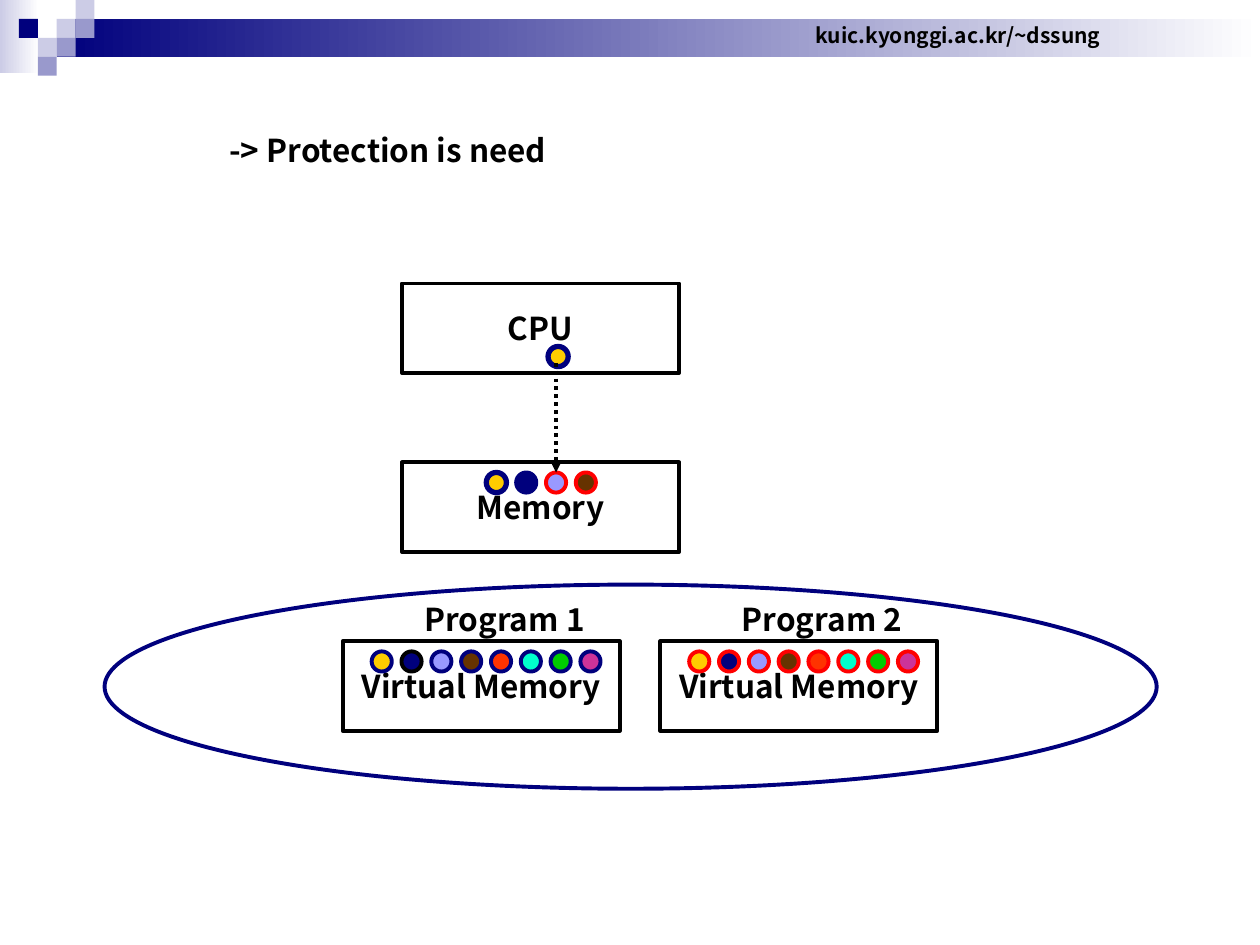
import dataclasses

import pptx
import pptx.dml.color
import pptx.enum.dml
import pptx.enum.shapes
import pptx.enum.text
import pptx.oxml
import pptx.oxml.ns
import pptx.util
from pptx.util import Inches

KIND = pptx.enum.shapes.MSO_SHAPE
ALIGN = pptx.enum.text.PP_ALIGN
ANCHOR = pptx.enum.text.MSO_ANCHOR


@dataclasses.dataclass(frozen=True)
class Theme:
    """Colours, font and sizes of the slide."""
    font: str = "Noto Sans CJK KR"
    body: float = 18
    small: float = 12
    thin: float = 2.25
    thick: float = 3
    black: str = "000000"
    white: str = "FFFFFF"
    navy: str = "00007D"
    pale: str = "CCCCE6"
    mid: str = "9999CC"
    red: str = "FF0000"
    gold: str = "FFCC00"
    lilac: str = "9999FF"
    brown: str = "663300"
    flame: str = "FF3300"
    aqua: str = "00FFCC"
    green: str = "00CC00"
    pink: str = "CC3399"


THEME = Theme()
PAGES = (THEME.gold, THEME.navy, THEME.lilac, THEME.brown,
         THEME.flame, THEME.aqua, THEME.green, THEME.pink)
DOT = Inches(0.16)
STEP = Inches(0.71 / 3)


def rgb(code):
    """Turn a hex code into a colour."""
    return pptx.dml.color.RGBColor.from_string(code)


def write(shape, text, size=THEME.body, align=ALIGN.LEFT, anchor=ANCHOR.TOP, wrap=False):
    """Put formatted text in a shape."""
    frame = shape.text_frame
    frame.text = text
    frame.auto_size = pptx.enum.text.MSO_AUTO_SIZE.NONE
    frame.word_wrap = wrap
    frame.vertical_anchor = anchor
    para = frame.paragraphs[0]
    para.alignment = align
    font = para.runs[0].font
    font.name = THEME.font
    font.size = pptx.util.Pt(size)
    font.bold = True
    font.color.rgb = rgb(THEME.black)
    for tag in ("a:ea", "a:cs"):
        face = pptx.oxml.ns.qn(tag)
        font._element.makeelement(face)
        pptx.oxml.ns.qn(tag)
        node = font._element.makeelement(face, {"typeface": THEME.font})
        font._element.append(node)


def draw(slide, kind, box, fill=None, line=None, width=THEME.thin):
    """Add a preset shape with a plain, blended or empty fill."""
    shape = slide.shapes.add_shape(kind, *box)
    shape.shadow.inherit = False
    if fill is None:
        shape.fill.background()
    elif isinstance(fill, tuple):
        shape.fill.gradient()
        shape.fill.gradient_angle = 0
        for stop, code in zip(shape.fill.gradient_stops, fill):
            stop.color.rgb = rgb(code)
    else:
        shape.fill.solid()
        shape.fill.fore_color.rgb = rgb(fill)
    if line:
        shape.line.color.rgb = rgb(line)
        shape.line.width = pptx.util.Pt(width)
    else:
        shape.line.fill.background()
    return shape


def label(slide, box, text, **form):
    """Add a text box."""
    write(slide.shapes.add_textbox(*box), text, **form)


def header(slide, box):
    """Draw the blended band, its tiles and the address."""
    left, top, width, height = box
    tile = Inches(0.15)
    draw(slide, KIND.RECTANGLE, (left, top, Inches(0.31), height),
         (THEME.pale, THEME.white))
    draw(slide, KIND.RECTANGLE,
         (left + 3 * tile, top + tile, width - 3 * tile, 2 * tile),
         (THEME.navy, THEME.white))
    tiles = ((3, 1, THEME.pale), (4, 0, THEME.pale), (4, 1, THEME.mid),
             (2, 2, THEME.pale), (1, 1, THEME.navy), (3, 2, THEME.mid),
             (2, 3, THEME.mid))
    for col, row, fill in tiles:
        draw(slide, KIND.RECTANGLE,
             (left + col * tile, top + row * tile, tile, tile), fill)
    label(slide, (left + Inches(6.37), top + Inches(0.13), Inches(2.47), Inches(0.3)),
          "kuic.kyonggi.ac.kr/~dssung", size=THEME.small,
          align=ALIGN.CENTER, anchor=ANCHOR.MIDDLE)


def title(slide, box):
    """Place and format the title."""
    shape = slide.shapes.title
    shape.left, shape.top, shape.width, shape.height = box
    write(shape, "-> Protection is need")


def dot(slide, left, top, fill, line, width=THEME.thin):
    """Draw one page."""
    return draw(slide, KIND.OVAL, (left, top, DOT, DOT), fill, line, width)


def unit(slide, box, name, start=0, pages=()):
    """Draw a named box with a row of pages and return the pages."""
    shape = draw(slide, KIND.RECTANGLE, box, THEME.white, THEME.black)
    write(shape, name, align=ALIGN.CENTER, anchor=ANCHOR.MIDDLE)
    left, top = box[0] + start, box[1] + Inches(0.08)
    return [dot(slide, left + i * STEP, top, *page) for i, page in enumerate(pages)]


def arrow(slide, left, top, goal):
    """Draw a dotted arrow down to the top of a page."""
    line = slide.shapes.add_connector(
        pptx.enum.shapes.MSO_CONNECTOR.STRAIGHT, left, top, left, goal.top)
    line.end_connect(goal, 0)
    line.line.color.rgb = rgb(THEME.black)
    line.line.width = pptx.util.Pt(THEME.thin)
    line.line.dash_style = pptx.enum.dml.MSO_LINE.ROUND_DOT
    space = pptx.oxml.ns.nsdecls("a")
    line.line._get_or_add_ln().append(
        pptx.oxml.parse_xml(f'<a:tailEnd {space} type="triangle"/>'))
    line._element.spPr.append(pptx.oxml.parse_xml(f"<a:effectLst {space}/>"))


def machine(slide, box):
    """Draw the processor above the memory, joined by an arrow."""
    left, top, width, height = box
    size = (width, Inches(0.71))
    unit(slide, (left, top, *size), "CPU")
    pages = unit(slide, (left, top + height - size[1], *size), "Memory", Inches(0.67), (
        (THEME.gold, THEME.navy, THEME.thick), (THEME.navy, THEME.navy),
        (THEME.lilac, THEME.red), (THEME.brown, THEME.red)))
    dot(slide, left + Inches(1.16), top + Inches(0.5),
        THEME.gold, THEME.navy, THEME.thick)
    goal = pages[2]
    arrow(slide, goal.left + DOT // 2, top + Inches(0.63), goal)


def store(slide, box):
    """Draw the oval that holds the virtual memory of both programs."""
    left, top, width, height = box
    first = [THEME.navy] * len(PAGES)
    first[1] = THEME.black
    edges = (first, [THEME.red] * len(PAGES))
    for i, lines in enumerate(edges):
        side = left + Inches(1.89) + i * Inches(2.52)
        unit(slide, (side, top + Inches(0.45), Inches(2.2), Inches(0.71)),
             "Virtual Memory", Inches(0.23), zip(PAGES, lines))
        label(slide, (side + Inches(0.55), top + Inches(0.07), Inches(1.5), Inches(0.4)),
              f"Program {i + 1}")
    draw(slide, KIND.OVAL, box, line=THEME.navy)


def main():
    """Build and save the slide."""
    deck = pptx.Presentation()
    deck.slide_width, deck.slide_height = Inches(10), Inches(7.5)
    slide = deck.slides.add_slide(deck.slide_layouts[5])
    header(slide, (0, 0, deck.slide_width, Inches(0.58)))
    title(slide, (Inches(1.72), Inches(0.99), Inches(2.81), Inches(0.4)))
    machine(slide, (Inches(3.19), Inches(2.25), Inches(2.2), Inches(2.13)))
    store(slide, (Inches(0.83), Inches(4.64), Inches(8.35), Inches(1.62)))
    deck.save("out.pptx")


if __name__ == "__main__":
    main()
